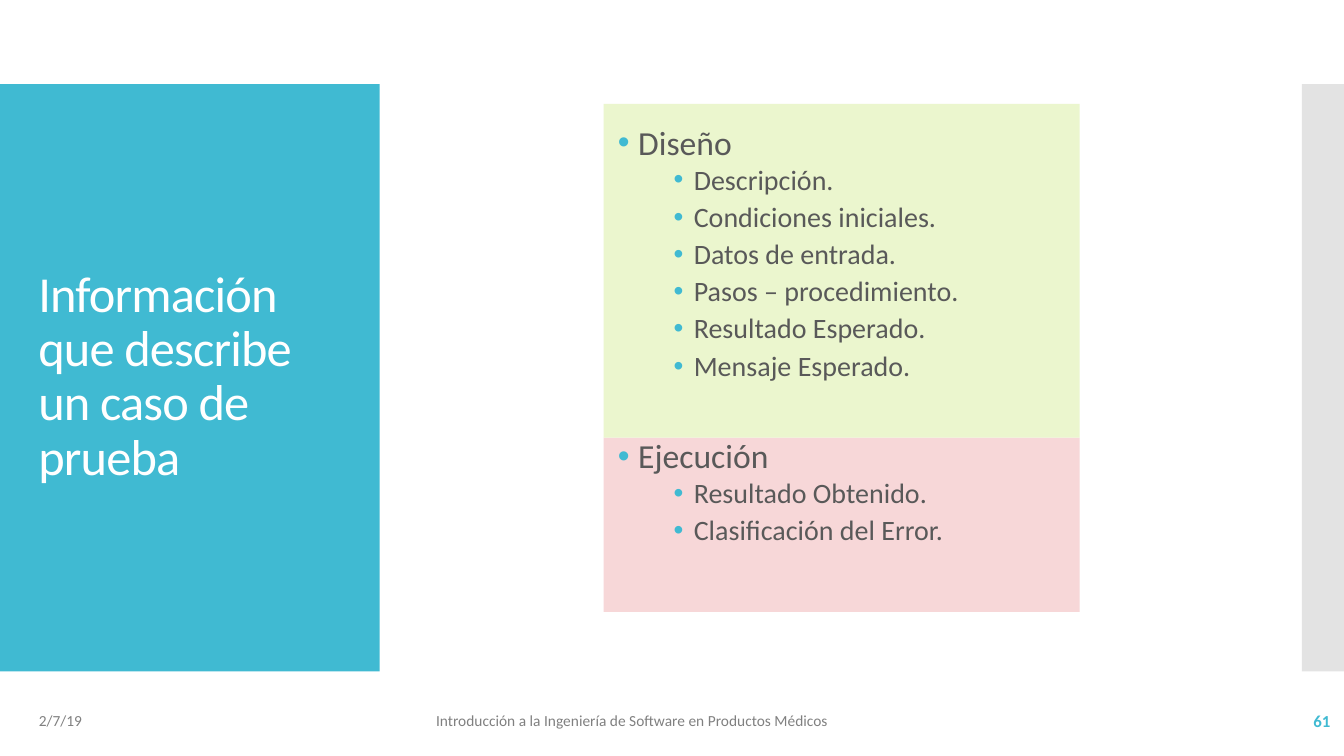
from dataclasses import dataclass

from lxml.etree import SubElement
from pptx import Presentation
from pptx.dml.color import RGBColor
from pptx.enum.shapes import MSO_SHAPE as Shape
from pptx.enum.text import MSO_ANCHOR as Anchor, MSO_AUTO_SIZE as AutoSize, PP_ALIGN as Align
from pptx.oxml.ns import qn
from pptx.util import Cm, Pt


@dataclass(frozen=True)
class Theme:
    font: str = "Calibri"
    accent: str = "40BAD2"
    side: str = "C8C8C8"
    design: str = "EBF6CE"
    execution: str = "F7D7D8"
    light: str = "FFFFFF"
    body: str = "595959"
    muted: str = "808080"
    title_size: int = 36
    topic_size: int = 24
    item_size: int = 20
    footer_size: int = 11
    number_size: int = 12


THEME = Theme()
TOPICS = (
    ("Diseño", ("Descripción.", "Condiciones iniciales.", "Datos de entrada.",
                "Pasos – procedimiento.", "Resultado Esperado.", "Mensaje Esperado.")),
    ("Ejecución", ("Resultado Obtenido.", "Clasificación del Error.")),
)


def place(shape, left, top, width, height):
    shape.left, shape.top, shape.width, shape.height = map(Cm, (left, top, width, height))


def prepare(frame, anchor):
    frame.word_wrap = True
    frame.auto_size = AutoSize.NONE
    frame.vertical_anchor = anchor


def write(para, text, *, size, color, bold=False, align=Align.LEFT,
          line=1.0, before=0, after=0, tracking=0):
    para.alignment = align
    para.line_spacing = line
    para.space_before, para.space_after = Pt(before), Pt(after)
    span = para.add_run()
    span.text = text
    span.font.name, span.font.size, span.font.bold = THEME.font, Pt(size), bold
    span.font.color.rgb = RGBColor.from_string(color)
    if tracking:
        span.font._element.set("spc", str(tracking))


def add_bullet(para, indent):
    """Give the paragraph a hanging accent-coloured bullet."""
    props = para._p.get_or_add_pPr()
    props.set("marL", str(Cm(indent)))
    props.set("indent", str(-Cm(0.51)))
    tint = SubElement(props, qn("a:buClr"))
    SubElement(tint, qn("a:srgbClr"), val=THEME.accent)
    SubElement(props, qn("a:buFont"), typeface="Arial")
    SubElement(props, qn("a:buChar"), char="•")


def add_panel(page, color, left, top, width, height, opacity=100):
    panel = page.shapes.add_shape(Shape.RECTANGLE, *map(Cm, (left, top, width, height)))
    panel.shadow.inherit = False
    panel.line.fill.background()
    panel.fill.solid()
    panel.fill.fore_color.rgb = RGBColor.from_string(color)
    if opacity < 100:
        tint = panel._element.spPr.find(".//" + qn("a:srgbClr"))
        SubElement(tint, qn("a:alpha"), val=str(opacity * 1000))


def add_footer(page, text, left, width, **style):
    box = page.shapes.add_textbox(Cm(left), Cm(17.65), Cm(width), Cm(1.02))
    prepare(box.text_frame, Anchor.MIDDLE)
    write(box.text_frame.paragraphs[0], text, **style)


def fill_title(title):
    place(title, 0.71, 3.12, 8.18, 12.78)
    prepare(title.text_frame, Anchor.MIDDLE)
    write(title.text_frame.paragraphs[0], "Información que describe un caso de prueba",
          size=THEME.title_size, color=THEME.light, line=0.9, tracking=-60)


def fill_topics(body):
    place(body, 15.32, 3.05, 11.51, 12.14)
    frame = body.text_frame
    prepare(frame, Anchor.TOP)
    for number, (topic, items) in enumerate(TOPICS):
        para = frame.add_paragraph() if number else frame.paragraphs[0]
        add_bullet(para, 0.51)
        write(para, topic, size=THEME.topic_size, color=THEME.body, line=0.9,
              before=38.5 if number else 0)
        for item in items:
            para = frame.add_paragraph()
            para.level = 1
            add_bullet(para, 1.91)
            write(para, item, size=THEME.item_size, color=THEME.body, line=0.9,
                  before=2.5, after=2.5)


def main():
    deck = Presentation()
    deck.slide_width, deck.slide_height = Cm(33.87), Cm(19.05)
    page = deck.slides.add_slide(deck.slide_layouts[1])
    title, body = page.placeholders

    # Side bands and topic panels
    add_panel(page, THEME.accent, 0, 2.12, 9.57, 14.8)
    add_panel(page, THEME.side, 32.81, 2.12, 1.06, 14.8, opacity=50)
    add_panel(page, THEME.execution, 15.21, 11.03, 12, 4.39)
    add_panel(page, THEME.design, 15.21, 2.62, 12, 8.41)

    # Title and list, brought in front of the panels
    for holder in (title, body):
        page.shapes._spTree.append(holder._element)
    fill_title(title)
    fill_topics(body)

    # Footer
    small = {"size": THEME.footer_size, "color": THEME.muted}
    add_footer(page, "2/7/19", 0.73, 7.62, **small)
    add_footer(page, "Introducción a la Ingeniería de Software en Productos Médicos",
               10.74, 16.41, **small)
    add_footer(page, "61", 29.54, 4.24, size=THEME.number_size, color=THEME.accent,
               bold=True, align=Align.RIGHT)
    deck.save("out.pptx")


if __name__ == "__main__":
    main()
